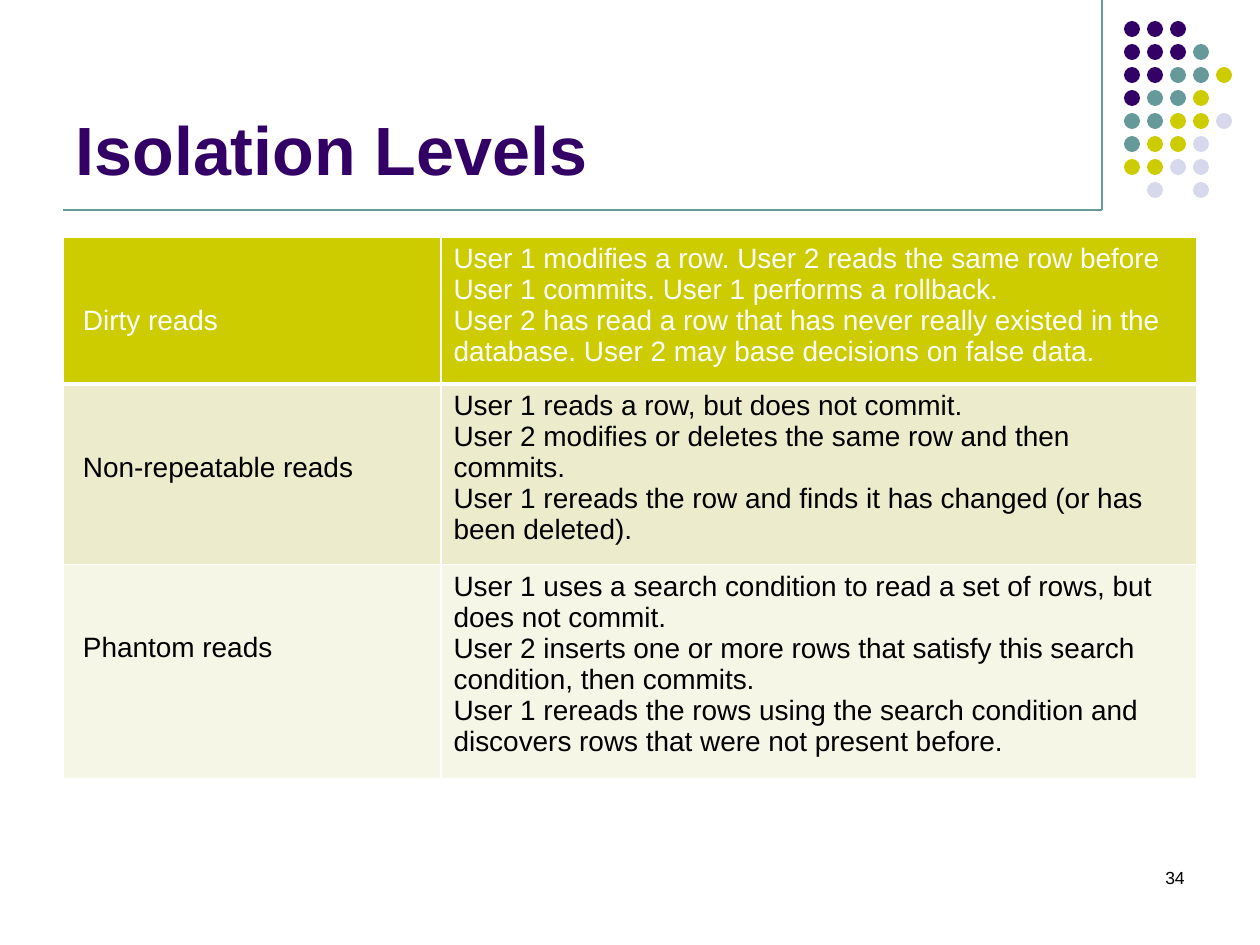
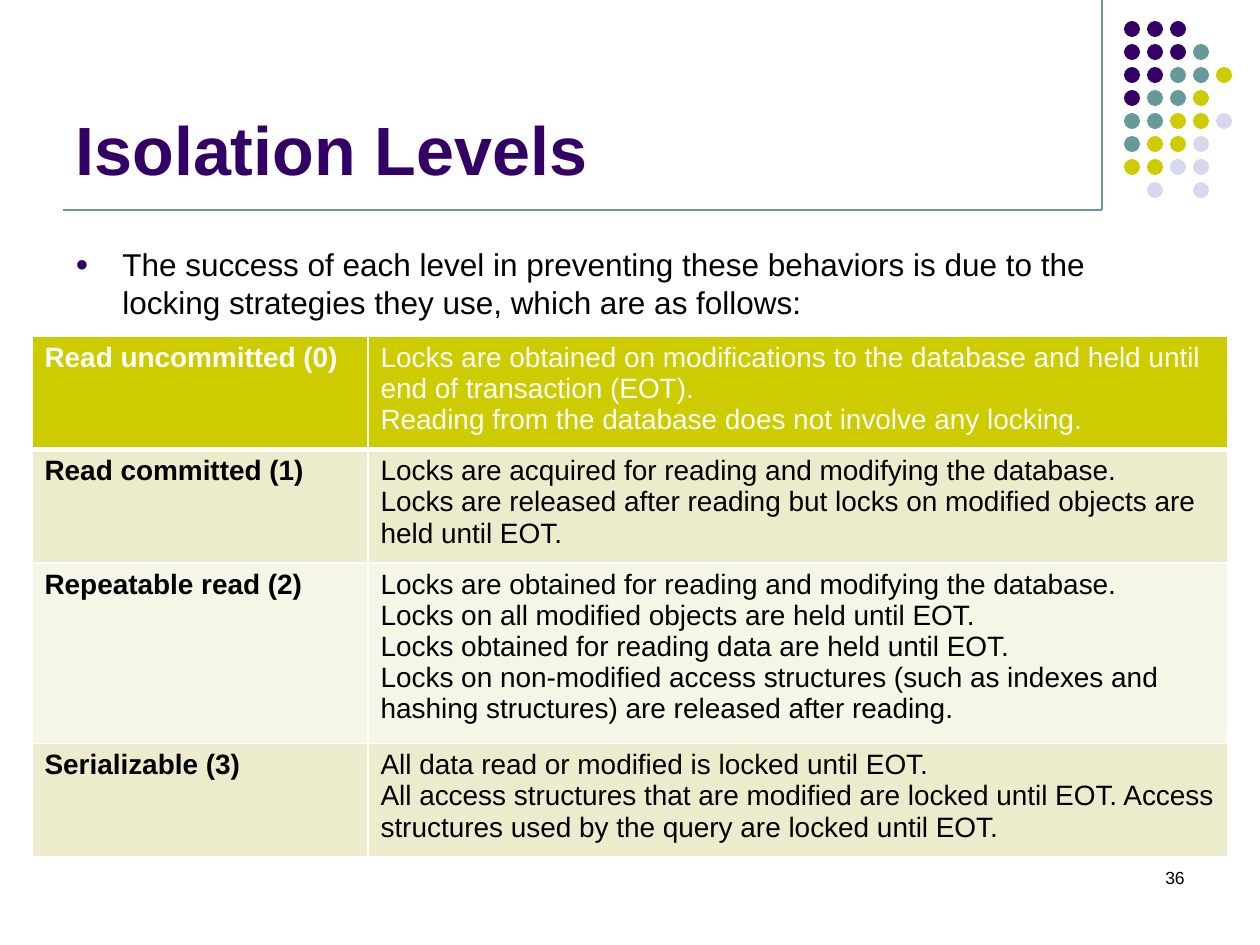
"""Builds two slides on isolation levels with a shared title, dot motif and page number."""
from lxml import etree
from pptx import Presentation
from pptx import util as u
from pptx.dml.color import RGBColor
from pptx.enum import shapes, text
from pptx.oxml import ns

EMU_PER_PX = 914400 / 126
FONT = "Arial"
COLORS = {
    "purple": "330066", "teal": "669999", "olive": "CCCC00", "lilac": "D8D8EC",
    "band": "ECECCC", "pale": "F6F6E7", "white": "FFFFFF", "black": "000000",
}
DOT_COLORS = {"P": "purple", "T": "teal", "O": "olive", "L": "lilac"}
DOT_ROWS = ["PPP", "PPPT", "PPTTO", "PTTO", "TTOOL", "TOOL", "OOLL", " L L"]
TITLE = "Isolation Levels"

READ_PROBLEMS = [
    ("Dirty reads", [
        "User 1 modifies a row. User 2 reads the same row before User 1 commits. User 1 performs a rollback.",
        "User 2 has read a row that has never really existed in the database. User 2 may base decisions on false data.",
    ]),
    ("Non-repeatable reads", [
        "User 1 reads a row, but does not commit.",
        "User 2 modifies or deletes the same row and then commits.",
        "User 1 rereads the row and finds it has changed (or has been deleted).",
    ]),
    ("Phantom reads", [
        "User 1 uses a search condition to read a set of rows, but does not commit.",
        "User 2 inserts one or more rows that satisfy this search condition, then commits.",
        "User 1 rereads the rows using the search condition and discovers rows that were not present before.",
    ]),
]
LOCKING_INTRO = ("The success of each level in preventing these behaviors is due to the "
                 "locking strategies they use, which are as follows:")
LOCKING_LEVELS = [
    ("Read uncommitted (0)", [
        "Locks are obtained on modifications to the database and held until end of transaction (EOT).",
        "Reading from the database does not involve any locking.",
    ]),
    ("Read committed (1)", [
        "Locks are acquired for reading and modifying the database.",
        "Locks are released after reading but locks on modified objects are held until EOT.",
    ]),
    ("Repeatable read (2)", [
        "Locks are obtained for reading and modifying the database.",
        "Locks on all modified objects are held until EOT.",
        "Locks obtained for reading data are held until EOT.",
        "Locks on non-modified access structures (such as indexes and hashing structures) are released after reading.",
    ]),
    ("Serializable (3)", [
        "All data read or modified is locked until EOT.",
        "All access structures that are modified are locked until EOT. Access structures used by the query are locked until EOT.",
    ]),
]


def px(length):
    return u.Emu(round(length * EMU_PER_PX))


def rgb(name):
    return RGBColor.from_string(COLORS[name])


def add_xml(parent, tag, **attributes):
    return etree.SubElement(parent, ns.qn(tag), attributes)


class SlideBuilder:
    def __init__(self):
        self.deck = Presentation()
        self.deck.slide_width, self.deck.slide_height = px(1260), px(945)
        self.page = None

    def start_page(self, title, number):
        self.page = self.deck.slides.add_slide(self.deck.slide_layouts[5])
        self.line(1102, 0, 1102, 210)
        self.dots(1124, 21)
        self.line(63, 210, 1102, 210)
        self.title(title)
        self.page_number(number)

    def line(self, x1, y1, x2, y2):
        line = self.page.shapes.add_connector(
            shapes.MSO_CONNECTOR.STRAIGHT, px(x1), px(y1), px(x2), px(y2))
        line.line.color.rgb = rgb("teal")
        line.line.width = u.Pt(0.75)
        add_xml(line._element.spPr, "a:effectLst")

    def dots(self, left, top, pitch=23, size=16):
        group = self.page.shapes.add_group_shape()
        for row, pattern in enumerate(DOT_ROWS):
            for column, key in enumerate(pattern):
                if key in DOT_COLORS:
                    dot = group.shapes.add_shape(
                        shapes.MSO_SHAPE.OVAL, px(left + column * pitch),
                        px(top + row * pitch), px(size), px(size))
                    dot.shadow.inherit = False
                    dot.fill.solid()
                    dot.fill.fore_color.rgb = rgb(DOT_COLORS[key])
                    dot.line.fill.background()

    def span(self, para, words, size, color="black", bold=False):
        span = para.add_run()
        span.text = words
        span.font.name, span.font.size, span.font.bold = FONT, u.Pt(size), bold
        span.font.color.rgb = rgb(color)

    def title(self, words):
        box = self.page.shapes.title
        box.left, box.top, box.width, box.height = px(63), px(16), px(1039), px(179)
        frame = box.text_frame
        frame.auto_size = text.MSO_AUTO_SIZE.NONE
        frame.vertical_anchor = text.MSO_ANCHOR.BOTTOM
        para = frame.paragraphs[0]
        para.alignment = text.PP_ALIGN.LEFT
        self.span(para, words, 39, "purple", True)

    def text_box(self, left, top, width, height):
        box = self.page.shapes.add_textbox(px(left), px(top), px(width), px(height))
        box.text_frame.word_wrap = True
        return box.text_frame.paragraphs[0]

    def page_number(self, number):
        para = self.text_box(903, 861, 294, 63)
        para.alignment = text.PP_ALIGN.RIGHT
        self.span(para, str(number), 10)

    def bullet(self, words, left, top, width, height):
        para = self.text_box(left, top, width, height)
        properties = para._p.get_or_add_pPr()
        properties.set("marL", str(px(47)))
        properties.set("indent", str(px(-47)))
        color = add_xml(properties, "a:buClr")
        add_xml(color, "a:srgbClr", val=COLORS["purple"])
        add_xml(properties, "a:buSzPct", val="70000")
        add_xml(properties, "a:buFont", typeface=FONT)
        add_xml(properties, "a:buChar", char="●")
        self.span(para, words, 18)

    def cell(self, cell, lines, row, bold=False):
        properties = cell._tc.get_or_add_tcPr()
        for side in "LRTB":
            width = 3 if (row, side) in ((0, "B"), (1, "T")) else 1
            border = add_xml(properties, f"a:ln{side}", w=str(u.Pt(width)))
            add_xml(add_xml(border, "a:solidFill"), "a:srgbClr", val=COLORS["white"])
        cell.fill.solid()
        cell.fill.fore_color.rgb = rgb("olive" if row == 0 else ("pale", "band")[row % 2])
        frame = cell.text_frame
        for index, words in enumerate(lines):
            para = frame.add_paragraph() if index else frame.paragraphs[0]
            self.span(para, words, 16, "white" if row == 0 else "black", bold)

    def table(self, entries, left, top, widths, heights, bold_names=False, name_inset=None):
        table = self.page.shapes.add_table(
            len(entries), 2, px(left), px(top), px(sum(widths)), px(sum(heights))).table
        table.first_row = table.horz_banding = False
        for column, width in zip(table.columns, widths):
            column.width = px(width)
        for row, ((name, lines), height) in enumerate(zip(entries, heights)):
            table.rows[row].height = px(height)
            name_cell = table.cell(row, 0)
            self.cell(name_cell, [name], row, bold_names)
            self.cell(table.cell(row, 1), lines, row)
            if name_inset:
                name_cell.margin_left, name_cell.margin_top = map(px, name_inset)


def main():
    builder = SlideBuilder()
    builder.start_page(TITLE, 34)
    builder.table(READ_PROBLEMS, 63, 237, (378, 756), (137, 168, 199), name_inset=(20, 68))
    builder.start_page(TITLE, 36)
    builder.bullet(LOCKING_INTRO, 63, 239, 1134, 90)
    builder.table(LOCKING_LEVELS, 32, 336, (336, 860), (106, 106, 168, 106), bold_names=True)
    builder.deck.save("out.pptx")


if __name__ == "__main__":
    main()
